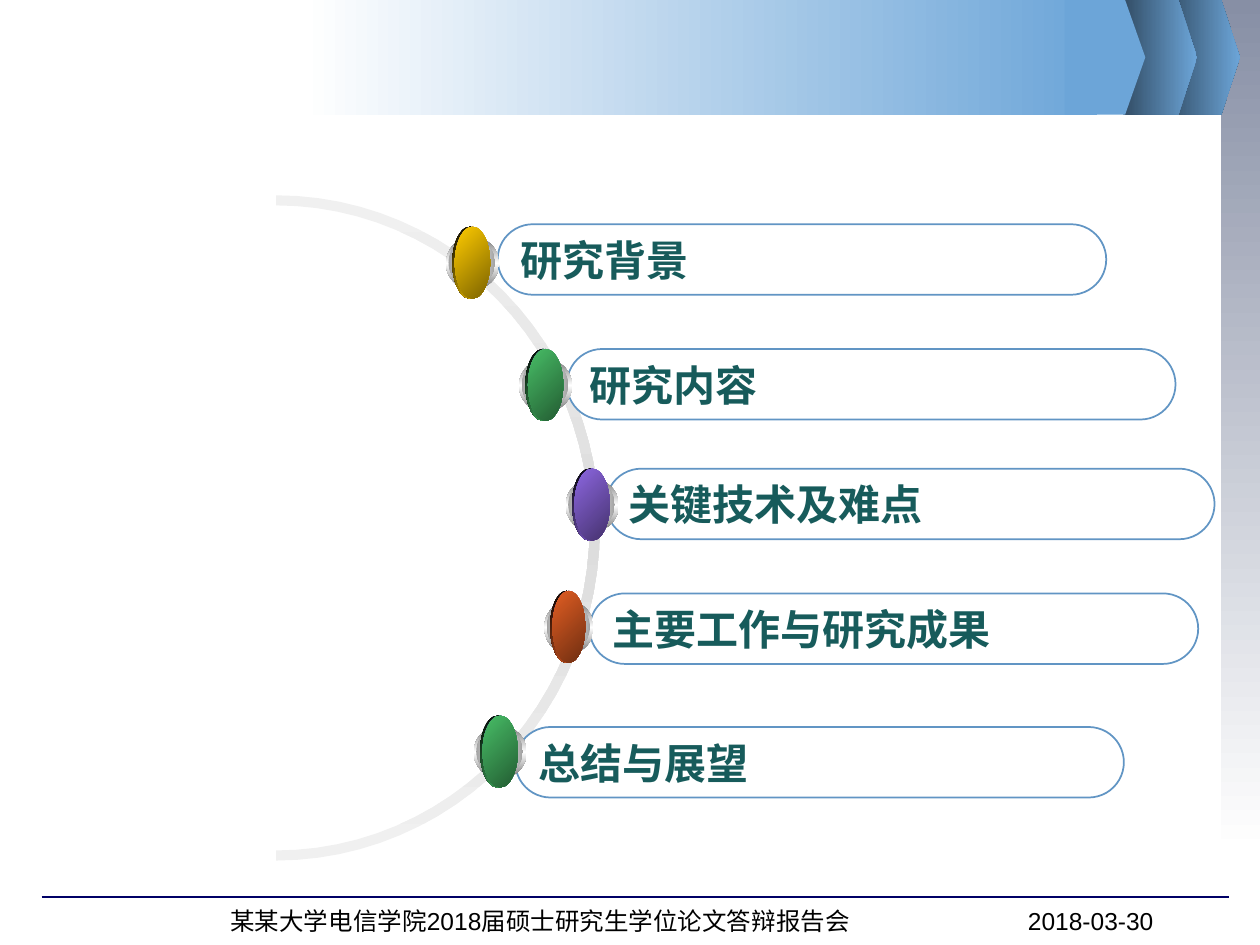
from copy import deepcopy
from math import cos, pi, sin

from pptx import Presentation
from pptx.dml.color import RGBColor
from pptx.enum.shapes import MSO_CONNECTOR, MSO_SHAPE
from pptx.enum.text import MSO_ANCHOR, PP_ALIGN
from pptx.oxml.ns import qn
from pptx.util import Inches, Pt
from lxml import etree

RECT, PLATE = MSO_SHAPE.RECTANGLE, MSO_SHAPE.PENTAGON
ROUND, OVAL = MSO_SHAPE.ROUNDED_RECTANGLE, MSO_SHAPE.OVAL
STRAIGHT = MSO_CONNECTOR.STRAIGHT
LEFT, MIDDLE = PP_ALIGN.LEFT, MSO_ANCHOR.MIDDLE

WHITE, BLACK = RGBColor(255, 255, 255), RGBColor(0, 0, 0)
SLATE = RGBColor(0x87, 0x8F, 0xA5)
NAVY = RGBColor(0x00, 0x00, 0x66)
DEEP_BLUE = RGBColor(0x32, 0x4C, 0x64)
SKY = RGBColor(0x6C, 0xA5, 0xD8)
OUTLINE = RGBColor(0x61, 0x95, 0xC4)
TEAL = RGBColor(0x17, 0x5B, 0x5B)
ARC_EDGE, ARC_MIDDLE = RGBColor(0xF0, 0xF0, 0xF0), RGBColor(0xDD, 0xDD, 0xDD)
DARK_GREY, MID_GREY = RGBColor(0x76, 0x76, 0x76), RGBColor(0xA2, 0xA2, 0xA2)
VIOLET, INDIGO = RGBColor(0x5D, 0x4B, 0xC7), RGBColor(0x47, 0x39, 0x98)
YELLOW, OLIVE = RGBColor(0xFF, 0xCC, 0x00), RGBColor(0x7C, 0x63, 0x00)
GREEN, FOREST = RGBColor(0x48, 0xBE, 0x67), RGBColor(0x23, 0x5C, 0x32)
PURPLE, PLUM = RGBColor(0x8D, 0x67, 0xE1), RGBColor(0x45, 0x32, 0x6D)
ORANGE, RUST = RGBColor(0xE3, 0x5E, 0x23), RGBColor(0x6E, 0x2E, 0x11)

HEADING = {"size": Pt(24), "bold": True, "name": "Arial"}
FOOTER = {"size": Pt(14), "name": "Arial"}
BAR_WIDTH, BAR_HEIGHT = 4.83, 0.56
BALL_WIDTH, BALL_HEIGHT = 0.42, 0.57

# Text, bar corner, ball corner, ball width, light and dark ball colours
AGENDA = [
    ("研究背景", (3.95, 1.78), (3.54, 1.80), 0.42, YELLOW, OLIVE),
    ("研究内容", (4.50, 2.77), (4.12, 2.77), 0.42, GREEN, FOREST),
    ("关键技术及难点", (4.81, 3.72), (4.49, 3.72), 0.42, PURPLE, PLUM),
    ("主要工作与研究成果", (4.68, 4.71), (4.32, 4.69), 0.39, ORANGE, RUST),
    ("总结与展望", (4.09, 5.77), (3.76, 5.68), 0.42, GREEN, FOREST),
]


def paint(shape, colors, angle=0):
    """Fill with one colour, or with evenly spread stops at a clockwise angle."""
    shape.shadow.inherit = False
    shape.line.fill.background()
    if len(colors) == 1:
        shape.fill.solid()
        shape.fill.fore_color.rgb = colors[0]
        return
    shape.fill.gradient()
    shape.fill.gradient_angle = (360 - angle) % 360
    stop_list = shape.fill._fill._gradFill.find(qn("a:gsLst"))
    while len(stop_list) < len(colors):
        stop_list.append(deepcopy(stop_list[0]))
    for index, stop in enumerate(shape.fill.gradient_stops):
        stop.position = index / (len(colors) - 1)
        stop.color.rgb = colors[index]


def add_part(shapes, kind, box, colors, angle=0):
    shape = shapes.add_shape(kind, *map(Inches, box))
    paint(shape, colors, angle)
    return shape


def write(shape, text, color, values):
    frame = shape.text_frame
    frame.word_wrap = False
    para = frame.paragraphs[0]
    para.alignment = LEFT
    span = para.add_run()
    span.text = text
    for name, value in values.items():
        setattr(span.font, name, value)
    span.font.color.rgb = color


def add_header(page, box):
    left, top, width, height = box
    # Chevrons behind the banner, then the banner with its tip
    for offset, plate_width, colors in [(6.85, 0.59, (DEEP_BLUE, SKY)),
                                        (6.51, 0.59, (DEEP_BLUE, SKY)),
                                        (0, 6.31, (WHITE, SKY)),
                                        (6.05, 0.64, (SKY,))]:
        kind = PLATE if offset else RECT
        part = add_part(page.shapes, kind, (left + offset, top, plate_width, height), colors)
        if kind == PLATE:
            part.adjustments[0] = 0.25


def add_footer(page, box):
    left, top, width, height = box
    rule = page.shapes.add_connector(STRAIGHT, Inches(left), Inches(top),
                                     Inches(left + width), Inches(top))
    rule.line.color.rgb = NAVY
    rule.line.width = Pt(0.75)
    etree.SubElement(rule._element.spPr, qn("a:effectLst"))
    for offset, text_width, text in [
            (1.4, 5.3, "某某大学电信学院2018届硕士研究生学位论文答辩报告会"),
            (7.73, 1.2, "2018-03-30")]:
        label = page.shapes.add_textbox(Inches(left + offset), Inches(top + 0.02),
                                        Inches(text_width), Inches(height))
        write(label, text, BLACK, FOOTER)


def add_arc(page, box, thickness=0.08, steps=48):
    """Right half of a ring that fills the box."""
    left, top, width, height = box
    angles = [pi * step / steps - pi / 2 for step in range(steps + 1)]

    def edge(inset):
        return [(Inches(left + (width - inset) * cos(angle)),
                 Inches(top + height / 2 + (height / 2 - inset) * sin(angle)))
                for angle in angles]

    points = edge(0) + edge(thickness)[::-1]
    builder = page.shapes.build_freeform(*points[0])
    builder.add_line_segments(points[1:], close=True)
    paint(builder.convert_to_shape(), (ARC_EDGE, ARC_MIDDLE, ARC_EDGE), 90)


def add_bar(page, box, text):
    bar = add_part(page.shapes, ROUND, box, (WHITE,))
    bar.adjustments[0] = 0.5
    bar.line.color.rgb = OUTLINE
    bar.line.width = Pt(1)
    bar.text_frame.vertical_anchor = MIDDLE
    write(bar, text, TEAL, HEADING)


def add_ball(page, box, light, dark):
    left, top, width, height = box
    scale = width / BALL_WIDTH
    group = page.shapes.add_group_shape()
    # Two grey rings, a rim and a coloured face
    for x, y, part_width, part_height, colors, angle in [
            (0, 0.08, 0.42, 0.42, (DARK_GREY, WHITE, DARK_GREY), 90),
            (0.02, 0.10, 0.37, 0.37, (MID_GREY, WHITE, MID_GREY), 0),
            (0.05, 0, 0.28, height, (WHITE, VIOLET, WHITE), 45),
            (0.05, 0, 0.28, height, (BLACK, light), 45),
            (0.07, 0, 0.28, height, (INDIGO, VIOLET, INDIGO), 315),
            (0.07, 0, 0.28, height, (light, dark), 45)]:
        part_box = (left + x * scale, top + y, part_width * scale, part_height)
        add_part(group.shapes, OVAL, part_box, colors, angle)


def main():
    deck = Presentation()
    deck.slide_width, deck.slide_height = Inches(10), Inches(7.5)
    page = deck.slides.add_slide(deck.slide_layouts[6])

    # Frame of the page
    add_part(page.shapes, RECT, (9.69, 0, 0.31, 6.77), (SLATE, WHITE), 90)
    add_header(page, (2.4, 0, 7.44, 0.91))
    add_footer(page, (0.33, 7.12, 9.42, 0.34))

    # Agenda along the arc
    add_arc(page, (2.19, 1.55, 2.57, 5.28))
    for text, bar_corner, ball_corner, ball_width, light, dark in AGENDA:
        add_bar(page, (*bar_corner, BAR_WIDTH, BAR_HEIGHT), text)
        add_ball(page, (*ball_corner, ball_width, BALL_HEIGHT), light, dark)

    deck.save("out.pptx")


if __name__ == "__main__":
    main()
